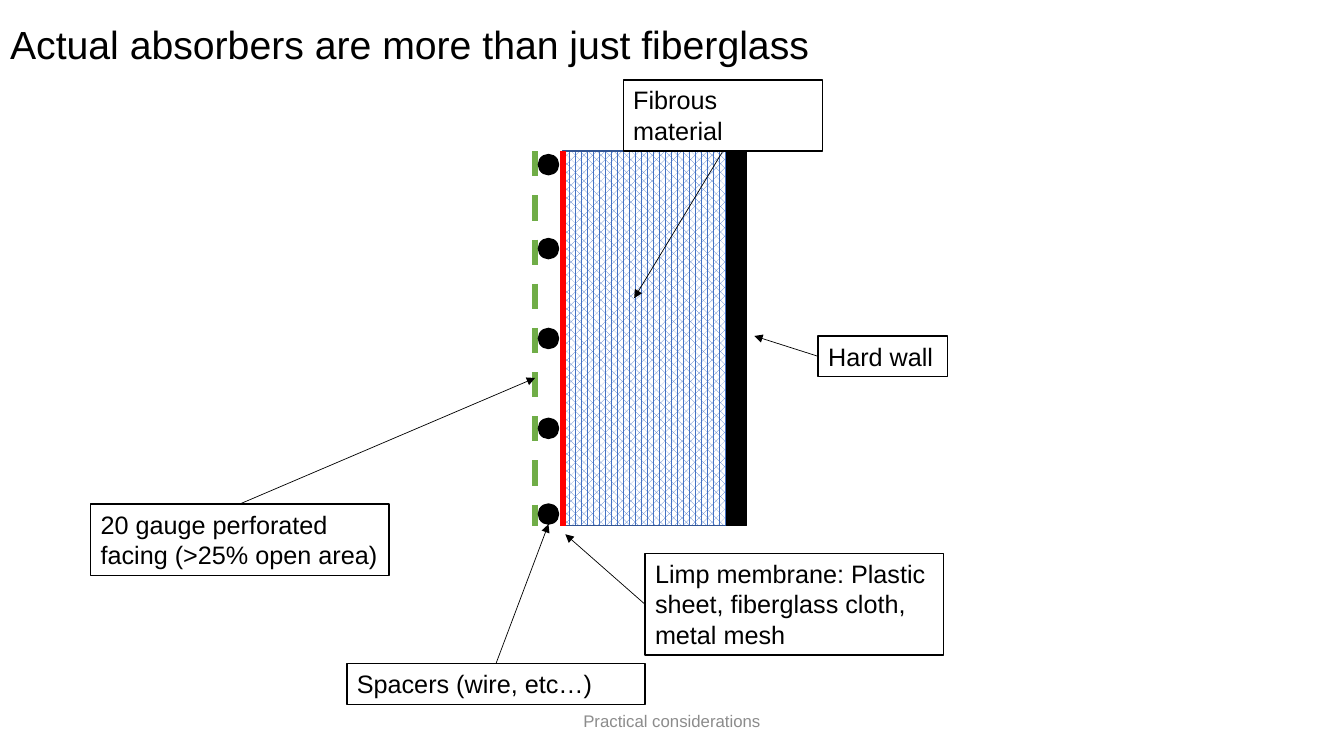
"""Build a slide showing the layers of a practical sound absorber."""
from dataclasses import dataclass

from lxml import etree
from pptx import Presentation
from pptx.dml.color import RGBColor
from pptx.enum.dml import MSO_LINE, MSO_PATTERN
from pptx.enum.shapes import MSO_CONNECTOR, MSO_SHAPE
from pptx.enum.text import MSO_ANCHOR, MSO_AUTO_SIZE, PP_ALIGN
from pptx.oxml.ns import qn
from pptx.shapes.autoshape import Shape
from pptx.shapes.connector import Connector
from pptx.slide import Slide
from pptx.text.text import TextFrame
from pptx.util import Inches, Pt

BLACK = RGBColor(0x00, 0x00, 0x00)
WHITE = RGBColor(0xFF, 0xFF, 0xFF)
RED = RGBColor(0xFF, 0x00, 0x00)
GREEN = RGBColor(0x70, 0xAD, 0x47)
BLUE = RGBColor(0x44, 0x72, 0xC4)
DARK_BLUE = RGBColor(0x32, 0x54, 0x91)
GRAY = RGBColor(0x8C, 0x8C, 0x8C)

RECTANGLE, OVAL = MSO_SHAPE.RECTANGLE, MSO_SHAPE.OVAL
STRAIGHT = MSO_CONNECTOR.STRAIGHT
DASH = MSO_LINE.DASH
PERCENT_60 = MSO_PATTERN.PERCENT_60
TOP, MIDDLE = MSO_ANCHOR.TOP, MSO_ANCHOR.MIDDLE
FIT_SHAPE, FIXED = MSO_AUTO_SIZE.SHAPE_TO_FIT_TEXT, MSO_AUTO_SIZE.NONE
LEFT, CENTER = PP_ALIGN.LEFT, PP_ALIGN.CENTER
TOP_SIDE, LEFT_SIDE, BOTTOM_SIDE = 0, 1, 2

FONT = "Arial"
COLUMNS, ROWS = 160, 90
SLIDE_WIDTH, SLIDE_HEIGHT = Inches(13.33), Inches(7.5)

LAYER_TOP, LAYER_HEIGHT = 18, 44.6
WOOL_LEFT, WOOL_WIDTH = 67, 19.5
WALL_WIDTH = 2.4
FACING_COLUMN = 63.7
SPACER_LEFT, SPACER_SIZE = 64.1, 2.4
SPACER_ROWS = (18.4, 28.4, 39.1, 49.8, 60)


@dataclass(frozen=True)
class Area:
    """A rectangle in grid columns and rows."""
    left: float
    top: float
    width: float
    height: float

    def lengths(self) -> tuple[int, int, int, int]:
        """Return the position and size as slide lengths."""
        return (across(self.left), down(self.top),
                across(self.width), down(self.height))


@dataclass(frozen=True)
class Callout:
    """A boxed label with an arrow from one side to a target point."""
    text: str
    area: Area
    side: int
    target: tuple[float, float]


@dataclass(frozen=True)
class Sheet:
    """A thin vertical layer drawn as a thick line."""
    column: float
    color: RGBColor
    dashed: bool


SHEETS = (Sheet(WOOL_LEFT, RED, False), Sheet(FACING_COLUMN, GREEN, True))
CALLOUTS = (
    Callout("20 gauge perforated facing (>25% open area)",
            Area(10.8, 60, 35.5, 8.5), TOP_SIDE, (FACING_COLUMN, 45)),
    Callout("Spacers (wire, etc…)",
            Area(41.3, 79, 35.5, 4.85), TOP_SIDE, (65.3, 62.4)),
    Callout("Limp membrane: Plastic sheet, fiberglass cloth, metal mesh",
            Area(76.8, 65.9, 35.5, 12.1), LEFT_SIDE, (67.3, 63.6)),
    Callout("Fibrous material",
            Area(74.2, 9.5, 23.7, 8.5), BOTTOM_SIDE, (75.5, 35.5)),
    Callout("Hard wall",
            Area(97.4, 40, 15.4, 4.85), LEFT_SIDE, (89.8, 40)),
)


def across(columns: float) -> int:
    """Convert grid columns to a slide length."""
    return round(SLIDE_WIDTH * columns / COLUMNS)


def down(rows: float) -> int:
    """Convert grid rows to a slide length."""
    return round(SLIDE_HEIGHT * rows / ROWS)


def write(frame: TextFrame, text: str, size: float, color: RGBColor,
          align: PP_ALIGN = LEFT, anchor: MSO_ANCHOR = MIDDLE) -> None:
    """Write one formatted paragraph into a text frame."""
    frame.word_wrap = True
    frame.vertical_anchor = anchor
    para = frame.paragraphs[0]
    para.alignment = align
    span = para.add_run()
    span.text = text
    span.font.name = FONT
    span.font.size = Pt(size)
    span.font.color.rgb = color


def add_block(page: Slide, kind: MSO_SHAPE, area: Area, fill: RGBColor,
              line: RGBColor = BLACK) -> Shape:
    """Add a filled and outlined shape without a shadow."""
    box = page.shapes.add_shape(kind, *area.lengths())
    box.shadow.inherit = False
    box.fill.solid()
    box.fill.fore_color.rgb = fill
    box.line.color.rgb = line
    box.line.width = Pt(1)
    return box


def add_line(page: Slide, start: tuple[float, float], end: tuple[float, float],
             color: RGBColor, width: float) -> Connector:
    """Add a straight line without a shadow."""
    line = page.shapes.add_connector(STRAIGHT, across(start[0]), down(start[1]),
                                     across(end[0]), down(end[1]))
    line.line.color.rgb = color
    line.line.width = Pt(width)
    etree.SubElement(line._element.spPr, qn("a:effectLst"))
    return line


def add_callout(page: Slide, callout: Callout) -> None:
    """Add a label box and its joined arrow."""
    area = callout.area
    box = add_block(page, RECTANGLE, area, WHITE)
    write(box.text_frame, callout.text, 18, BLACK, anchor=TOP)
    box.text_frame.auto_size = FIT_SHAPE
    arrow = add_line(page, (area.left, area.top), callout.target, BLACK, 0.5)
    arrow.begin_connect(box, callout.side)
    etree.SubElement(arrow.line._get_or_add_ln(), qn("a:tailEnd"), type="triangle")


def add_layers(page: Slide) -> None:
    """Draw the wool, wall, membrane, facing and spacers."""
    wool = add_block(page, RECTANGLE,
                     Area(WOOL_LEFT, LAYER_TOP, WOOL_WIDTH, LAYER_HEIGHT), BLUE, DARK_BLUE)
    wool.fill.patterned()
    wool.fill.pattern = PERCENT_60
    wool.fill.fore_color.rgb = BLUE
    wool.fill.back_color.rgb = WHITE
    add_block(page, RECTANGLE,
              Area(WOOL_LEFT + WOOL_WIDTH, LAYER_TOP, WALL_WIDTH, LAYER_HEIGHT), BLACK)
    for sheet in SHEETS:
        line = add_line(page, (sheet.column, LAYER_TOP),
                        (sheet.column, LAYER_TOP + LAYER_HEIGHT), sheet.color, 4.5)
        if sheet.dashed:
            line.line.dash_style = DASH
    for row in SPACER_ROWS:
        add_block(page, OVAL, Area(SPACER_LEFT, row, SPACER_SIZE, SPACER_SIZE), BLACK)


def main() -> None:
    """Create the deck and save it."""
    deck = Presentation()
    deck.slide_width, deck.slide_height = SLIDE_WIDTH, SLIDE_HEIGHT
    page = deck.slides.add_slide(deck.slide_layouts[5])
    title = page.shapes.title
    title.left, title.top, title.width, title.height = Area(0, 0, COLUMNS, 11.2).lengths()
    write(title.text_frame, "Actual absorbers are more than just fiberglass", 28, BLACK)
    title.text_frame.auto_size = FIXED
    title.text_frame.paragraphs[0].line_spacing = 0.9
    add_layers(page)
    for callout in CALLOUTS:
        add_callout(page, callout)
    footer = page.shapes.add_textbox(*Area(53, 83.4, 54, 4.8).lengths())
    write(footer.text_frame, "Practical considerations", 12, GRAY, CENTER)
    deck.save("out.pptx")


if __name__ == "__main__":
    main()
